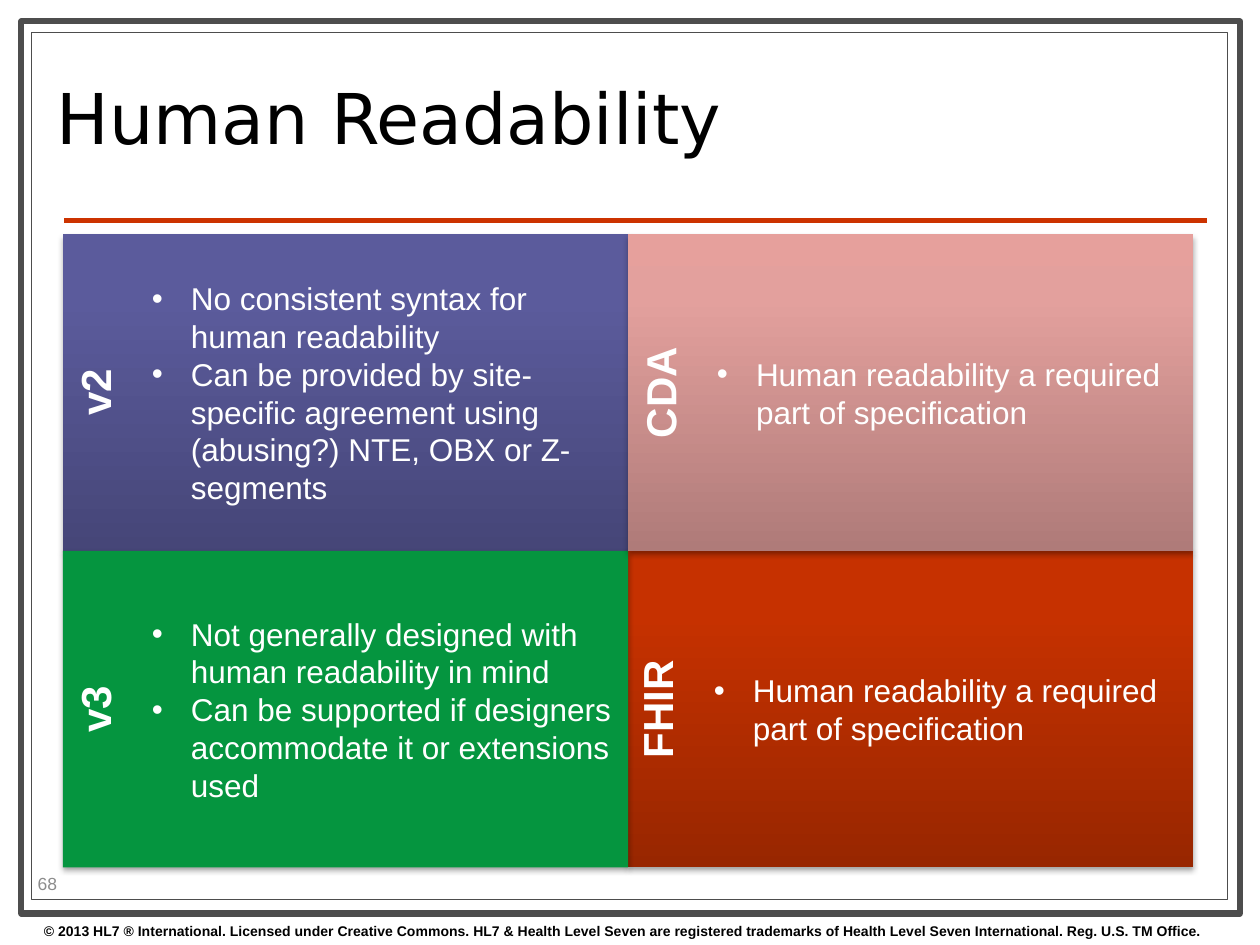
from copy import deepcopy

from lxml.etree import SubElement
from pptx import Presentation
from pptx.dml.color import RGBColor
from pptx.enum.shapes import MSO_CONNECTOR, MSO_SHAPE
from pptx.enum.text import MSO_ANCHOR, MSO_AUTO_SIZE, PP_ALIGN
from pptx.oxml import parse_xml
from pptx.oxml.ns import nsdecls, qn
from pptx.util import Inches, Pt

BLACK = RGBColor(0x00, 0x00, 0x00)
WHITE = RGBColor(0xFF, 0xFF, 0xFF)
FRAME_GREY = RGBColor(0x4D, 0x4D, 0x4D)
NUMBER_GREY = RGBColor(0x8C, 0x8C, 0x8C)
RULE_RED = RGBColor(0xCC, 0x33, 0x00)
GREEN = [RGBColor(0x05, 0x95, 0x3F)]
PURPLE = [RGBColor(0x46, 0x46, 0x78), RGBColor(0x5B, 0x5B, 0x9C), RGBColor(0x5B, 0x5B, 0x9E)]
PINK = [RGBColor(0xAF, 0x7B, 0x79), RGBColor(0xE3, 0xA0, 0x9D), RGBColor(0xE6, 0xA0, 0x9C)]
RED = [RGBColor(0x98, 0x26, 0x00), RGBColor(0xC6, 0x31, 0x00), RGBColor(0xC7, 0x32, 0x00)]
GRADIENT_POSITIONS = (0, 0.8, 1)

GRID_LEFT, GRID_TOP = 5, 24.8
PANEL_WIDTH, PANEL_HEIGHT = 44.85, 33.5
LABEL_WIDTH = 6.05
LIST_PADDING, LIST_LINE = 1.4, 4.03

QUADRANTS = [
    ("v2", 0, 0, 0, PURPLE, 6, [
        "No consistent syntax for human readability",
        "Can be provided by site-specific agreement using (abusing?) NTE, OBX or Z-segments"]),
    ("FHIR", 1, 1, -0.25, RED, 2, ["Human readability a required part of specification"]),
    ("v3", 0, 1, 0, GREEN, 5, [
        "Not generally designed with human readability in mind",
        "Can be supported if designers accommodate it or extensions used"]),
    ("CDA", 1, 0, 0, PINK, 2, ["Human readability a required part of specification"]),
]


class SlideBuilder:
    body_font = "Arial"
    title_font = "DejaVu Sans"

    def __init__(self, deck, slide):
        self.deck = deck
        self.slide = slide

    def box(self, x, y, w, h):
        width, height = self.deck.slide_width, self.deck.slide_height
        return [int(share * side / 100)
                for share, side in ((x, width), (y, height), (w, width), (h, height))]

    def add_run(self, paragraph, words, size, color, bold=False, font=body_font):
        run = paragraph.add_run()
        run.text = words
        run.font.name, run.font.size, run.font.bold = font, Pt(size), bold
        run.font.color.rgb = color

    def take_placeholder(self, index, place):
        holder = self.slide.placeholders[index]
        holder.left, holder.top, holder.width, holder.height = self.box(*place)
        holder.element.getparent().append(holder.element)
        frame = holder.text_frame
        frame.word_wrap = True
        frame.auto_size = MSO_AUTO_SIZE.NONE
        frame.vertical_anchor = MSO_ANCHOR.MIDDLE
        return frame

    def title(self, words, place):
        heading = self.take_placeholder(0, place).paragraphs[0]
        heading.alignment = PP_ALIGN.LEFT
        heading.line_spacing = 0.8
        self.add_run(heading, words, 40, BLACK, font=self.title_font)

    def frame(self, place, weight):
        border = self.slide.shapes.add_shape(MSO_SHAPE.RECTANGLE, *self.box(*place))
        border.shadow.inherit = False
        border.fill.solid()
        border.fill.fore_color.rgb = WHITE
        border.line.color.rgb = FRAME_GREY
        border.line.width = Pt(weight)

    def rule(self, x1, x2, y):
        left, top, right, bottom = self.box(x1, y, x2, y)
        divider = self.slide.shapes.add_connector(
            MSO_CONNECTOR.STRAIGHT, left, top, right, bottom)
        divider.line.color.rgb = RULE_RED
        divider.line.width = Pt(3)
        SubElement(divider.element.spPr, qn("a:effectLst"))

    def panel(self, place, colors):
        tile = self.slide.shapes.add_shape(MSO_SHAPE.RECTANGLE, *self.box(*place))
        tile.line.fill.background()
        if len(colors) == 1:
            tile.fill.solid()
            tile.fill.fore_color.rgb = colors[0]
        else:
            tile.fill.gradient()
            tile.fill.gradient_angle = 90
            stop_list = tile.element.spPr.find(".//" + qn("a:gsLst"))
            stop_list.append(deepcopy(stop_list[-1]))
            for stop, color, position in zip(
                    tile.fill.gradient_stops, colors, GRADIENT_POSITIONS):
                stop.color.rgb = color
                stop.position = position
        tile.element.spPr.append(parse_xml(
            f'<a:effectLst {nsdecls("a")}><a:outerShdw blurRad="{Pt(3.1)}" dist="{Pt(1.8)}" '
            'dir="5400000" rotWithShape="0"><a:srgbClr val="000000"><a:alpha val="35000"/>'
            '</a:srgbClr></a:outerShdw></a:effectLst>'))

    def text(self, words, place, size, color, bold=False, anchor=MSO_ANCHOR.TOP):
        frame = self.slide.shapes.add_textbox(*self.box(*place)).text_frame
        frame.word_wrap = True
        frame.vertical_anchor = anchor
        self.add_run(frame.paragraphs[0], words, size, color, bold)
        return frame

    def side_label(self, words, place):
        frame = self.text(words, place, 24, WHITE, bold=True)
        frame.paragraphs[0].alignment = PP_ALIGN.CENTER
        frame._txBody.bodyPr.set("vert", "vert270")

    def bullets(self, index, items, place):
        frame = self.take_placeholder(index, place)
        for number, item in enumerate(items):
            paragraph = frame.add_paragraph() if number else frame.paragraphs[0]
            properties = paragraph._p.get_or_add_pPr()
            properties.set("marL", str(Inches(0.31)))
            properties.set("indent", str(Inches(-0.31)))
            SubElement(properties, qn("a:buFont"), typeface=self.body_font)
            SubElement(properties, qn("a:buChar"), char="•")
            paragraph.alignment = PP_ALIGN.LEFT
            paragraph.space_before = Pt(0)
            self.add_run(paragraph, item, 18, WHITE)


def main():
    deck = Presentation()
    deck.slide_width, deck.slide_height = Inches(10), Inches(7.5)
    comparison = deck.slide_layouts.get_by_name("Comparison")
    page = SlideBuilder(deck, deck.slides.add_slide(comparison))

    page.frame((1.7, 2.27, 96.7, 94.4), 3.5)
    page.frame((2.5, 3.47, 94.9, 91.73), 0.75)
    page.rule(5.1, 95.8, 23.33)
    page.text("© 2013 HL7 ® International. Licensed under Creative Commons. HL7 & Health Level "
              "Seven are registered trademarks of Health Level Seven International. "
              "Reg. U.S. TM Office.", (2.5, 96.93, 100, 3.07), 8, BLACK, bold=True)
    page.title("Human Readability", (3.5, 4.8, 71.7, 16.8))
    page.text("68", (2, 91.87, 7.9, 3.2), 10, NUMBER_GREY, anchor=MSO_ANCHOR.MIDDLE)

    for _, column, row, _, colors, _, _ in QUADRANTS:
        page.panel((GRID_LEFT + column * PANEL_WIDTH, GRID_TOP + row * PANEL_HEIGHT,
                    PANEL_WIDTH, PANEL_HEIGHT), colors)

    for index, (label, column, row, shift, _, lines, items) in enumerate(QUADRANTS, 1):
        left = GRID_LEFT + column * PANEL_WIDTH + shift
        top = GRID_TOP + row * PANEL_HEIGHT
        list_height = LIST_PADDING + lines * LIST_LINE
        page.side_label(label, (left, top, LABEL_WIDTH, PANEL_HEIGHT))
        page.bullets(index, items, (left + LABEL_WIDTH, top + (PANEL_HEIGHT - list_height) / 2,
                                    PANEL_WIDTH - LABEL_WIDTH, list_height))

    deck.save("out.pptx")


if __name__ == "__main__":
    main()
